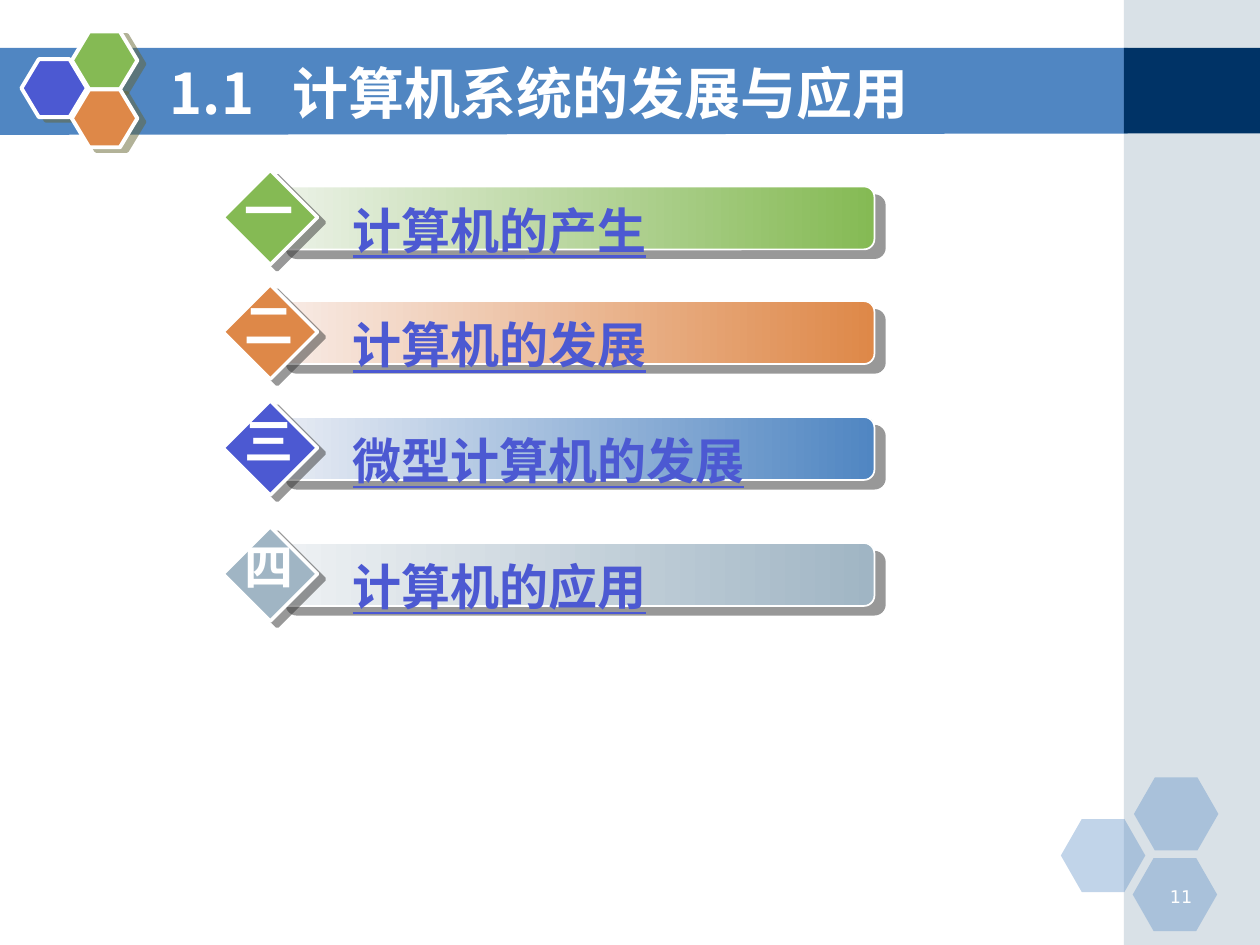
"""Build the section contents slide with four labelled bars."""
import pptx
import pptx.dml.color
import pptx.enum.shapes
import pptx.enum.text
import pptx.oxml
import pptx.oxml.ns
import pptx.util
from lxml import etree

Inches = pptx.util.Inches
Pt = pptx.util.Pt
RGB = pptx.dml.color.RGBColor
SHAPE = pptx.enum.shapes.MSO_SHAPE
ALIGN = pptx.enum.text.PP_ALIGN
ANCHOR = pptx.enum.text.MSO_ANCHOR
qn = pptx.oxml.ns.qn

WHITE = RGB(0xFF, 0xFF, 0xFF)
BLUE = RGB(0x50, 0x86, 0xC2)
INDIGO = RGB(0x4C, 0x59, 0xD2)
GREEN = RGB(0x85, 0xBA, 0x54)
ORANGE = RGB(0xDE, 0x88, 0x48)
GREY = RGB(0xA0, 0xB5, 0xC4)
NAVY = RGB(0x00, 0x33, 0x66)
OLIVE = RGB(0x66, 0x66, 0x33)
DARK = RGB(0x33, 0x33, 0x33)
PALE_GREEN = RGB(0xEC, 0xF2, 0xE8)
PALE_ORANGE = RGB(0xF8, 0xEC, 0xE7)
PALE_BLUE = RGB(0xE8, 0xEC, 0xF4)
PALE_GREY = RGB(0xEF, 0xF2, 0xF4)

CJK = "Noto Sans CJK SC"
TITLE = "1.1\t计算机系统的发展与应用"
PAGE = "11"
ROWS = [
    ("一", "计算机的产生", 1.35, GREEN, PALE_GREEN, GREEN),
    ("二", "计算机的发展", 2.26, ORANGE, PALE_ORANGE, ORANGE),
    ("三", "微型计算机的发展", 3.18, INDIGO, PALE_BLUE, BLUE),
    ("四", "计算机的应用", 4.18, GREY, PALE_GREY, GREY),
]
BADGE_HEXAGONS = [(0.17, 0.47, INDIGO), (0.57, 0.25, GREEN), (0.57, 0.71, ORANGE)]
CORNER_HEXAGONS = [(8.42, 6.5), (9, 6.17), (8.99, 6.81)]
BAND = [(-0.01, 0.38), (8.95, 0.38), (8.95, 1.06), (-0.01, 1.07)]


def add_shape(shapes, kind, box, fill, end=None, alpha=None, line=None, adj=None, shadow=None):
    sp = shapes.add_shape(kind, *map(Inches, box))
    sp.shadow.inherit = False
    if adj is not None:
        sp.adjustments[0] = adj
    if end is not None:
        sp.fill.gradient()
        sp.fill.gradient_angle = 0
        for stop, color, position in zip(sp.fill.gradient_stops, (fill, end), (0, 1)):
            stop.color.rgb = color
            stop.position = position
    else:
        sp.fill.solid()
        sp.fill.fore_color.rgb = fill
    if alpha is not None:
        clr = sp.fill._xPr.find(".//" + qn("a:srgbClr"))
        etree.SubElement(clr, qn("a:alpha"), val=str(alpha * 1000))
    if line is None:
        sp.line.fill.background()
    else:
        sp.line.color.rgb = WHITE
        sp.line.width = Pt(line)
    if shadow:
        color, distance, angle = shadow
        effects = sp._element.spPr.find(qn("a:effectLst"))
        outer = etree.SubElement(effects, qn("a:outerShdw"), blurRad="0",
                                 dist=str(Pt(distance)), dir=str(angle * 60000),
                                 algn="ctr", rotWithShape="0")
        clr = etree.SubElement(outer, qn("a:srgbClr"), val=str(color))
        etree.SubElement(clr, qn("a:alpha"), val="50000")
    return sp


def add_text(shapes, text, box, size=28, font=CJK, color=WHITE, bold=True, underline=None,
             align=ALIGN.LEFT, anchor=ANCHOR.TOP, left=0.1, right=0.1, tab=None):
    tf = shapes.add_textbox(*map(Inches, box)).text_frame
    tf.word_wrap = True
    tf.vertical_anchor = anchor
    tf.margin_left, tf.margin_right = Inches(left), Inches(right)
    p = tf.paragraphs[0]
    p.alignment = align
    if tab is not None:
        tabs = etree.SubElement(p._p.get_or_add_pPr(), qn("a:tabLst"))
        etree.SubElement(tabs, qn("a:tab"), pos=str(Inches(tab)), algn="l")
    r = p.add_run()
    r.text = text
    r.font.size = Pt(size)
    r.font.bold = bold
    r.font.underline = underline
    r.font.color.rgb = color
    r.font.name = font
    etree.SubElement(r._r.get_or_add_rPr(), qn("a:ea"), typeface=font)


def add_row(s, number, label, top, badge, start, end):
    row = s.shapes.add_group_shape().shapes
    add_shape(row, SHAPE.ROUNDED_RECTANGLE, (2.19, top + 0.13, 4.75, 0.5), start, end=end,
              line=1, adj=0.167, shadow=(DARK, 7.8, 40))
    add_shape(row, SHAPE.DIAMOND, (1.77, top, 0.75, 0.75), badge, line=2, shadow=(DARK, 5, 37))
    add_text(row, label, (2.44, top + 0.19, 4.53, 0.57), color=INDIGO, underline=True, left=0.36)
    add_text(row, number, (1.84, top + 0.03, 0.59, 0.57), align=ALIGN.CENTER, left=0, right=0)


def main():
    prs = pptx.Presentation()
    prs.slide_width, prs.slide_height = Inches(10), Inches(7.5)
    s = prs.slides.add_slide(prs.slide_layouts[6])

    points = [(Inches(x), Inches(y)) for x, y in BAND]
    builder = s.shapes.build_freeform(*points[0])
    builder.add_line_segments(points[1:], close=True)
    band = builder.convert_to_shape()
    band.shadow.inherit = False
    band.fill.solid()
    band.fill.fore_color.rgb = BLUE
    band.line.fill.background()

    side = s.shapes.add_group_shape().shapes
    add_shape(side, SHAPE.RECTANGLE, (8.92, 0, 1.08, 7.5), GREY, alpha=40)
    add_shape(side, SHAPE.RECTANGLE, (8.92, 0.38, 1.08, 0.68), NAVY)
    for x, y in CORNER_HEXAGONS:
        add_shape(s.shapes, SHAPE.HEXAGON, (x, y, 0.67, 0.58), BLUE, alpha=35, adj=0.286)
    badge = s.shapes.add_group_shape().shapes
    for x, y, color in BADGE_HEXAGONS:
        add_shape(badge, SHAPE.HEXAGON, (x, y, 0.52, 0.46), color, line=2.25, adj=0.3,
                  shadow=(OLIVE, 4.5, 27))

    add_text(s.shapes, PAGE, (9.06, 6.98, 0.5, 0.25), size=10, font="DejaVu Sans", bold=False,
             align=ALIGN.RIGHT)
    add_text(s.shapes, TITLE, (1.25, 0.42, 7.33, 0.62), size=32, anchor=ANCHOR.MIDDLE, tab=0.97)
    for row in ROWS:
        add_row(s, *row)
    prs.save("out.pptx")


if __name__ == "__main__":
    main()
